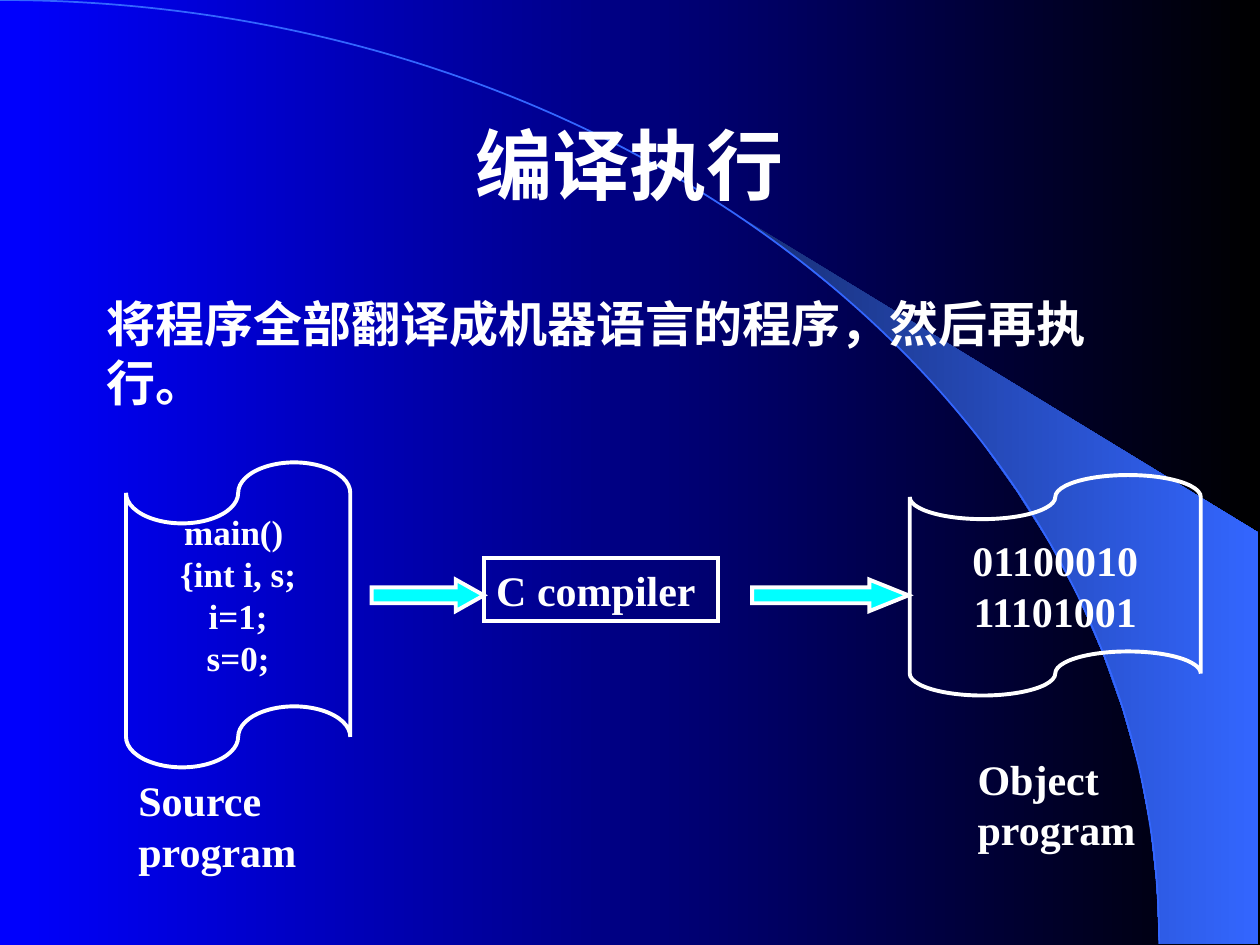
import math
import pptx
import pptx.util
import pptx.dml.color
import pptx.enum.shapes
import pptx.enum.text
import pptx.oxml.ns
from lxml import etree

PX = 9144  # 100 px to the inch
SHAPE = pptx.enum.shapes.MSO_SHAPE
ALIGN = pptx.enum.text.PP_ALIGN
ANCHOR = pptx.enum.text.MSO_ANCHOR
GROW = pptx.enum.text.MSO_AUTO_SIZE.SHAPE_TO_FIT_TEXT
RGB = pptx.dml.color.RGBColor.from_string
Pt = pptx.util.Pt
qn = pptx.oxml.ns.qn

THEME = {
    "white": RGB("FFFFFF"), "cyan": RGB("00FFFF"), "arc": RGB("3366FF"),
    "background": ("0000FF", "000000"), "crescent": ("182F76", "3366FF"),
    "title": Pt(44), "body": Pt(28), "label": Pt(24), "code": Pt(20),
    "heading_font": "Arial", "chinese_font": "Noto Sans CJK SC",
    "latin_font": "Times New Roman", "outline": Pt(2.25),
}


def set_gradient(fill, colors):
    fill.gradient()
    fill.gradient_angle = 0
    for stop, color in zip(fill.gradient_stops, colors):
        stop.color.rgb = RGB(color)


def write(shape, lines, size, font, before=0, align=ALIGN.LEFT, **frame_format):
    frame = shape.text_frame
    inset = {"margin_left": 10 * PX, "margin_right": 10 * PX,
             "margin_top": 5 * PX, "margin_bottom": 5 * PX}
    frame_values = {"word_wrap": True, "vertical_anchor": ANCHOR.TOP, **inset, **frame_format}
    for name, value in frame_values.items():
        setattr(frame, name, value)
    for i, line in enumerate(lines):
        paragraph = frame.add_paragraph() if i else frame.paragraphs[0]
        paragraph.alignment = align
        paragraph.space_before = Pt(before)
        # Punctuation wraps instead of hanging past the margin
        paragraph._p.get_or_add_pPr().set("hangingPunct", "0")
        run = paragraph.add_run()
        run.text = line
        for name, value in {"size": THEME[size], "bold": True, "name": THEME[font]}.items():
            setattr(run.font, name, value)
        run.font.color.rgb = THEME["white"]
        east_asian = etree.SubElement(run.font._element, qn("a:ea"))
        east_asian.set("typeface", THEME["chinese_font"])


deck = pptx.Presentation()
deck.slide_width, deck.slide_height = 1000 * PX, 750 * PX
slide = deck.slides.add_slide(deck.slide_layouts[6])
shapes = slide.shapes
set_gradient(slide.background.fill, THEME["background"])

# Crescent between a quarter ellipse and its tangent
RADIUS_X, RADIUS_Y, STEPS = 920, 749, 14
tip = (589, 173)
tip_angle = math.asin(tip[0] / RADIUS_X)
inner_edge = []
for step in range(1, STEPS + 1):
    angle = tip_angle + (math.pi / 2 - tip_angle) * step / STEPS
    inner_edge.append((round(RADIUS_X * math.sin(angle)),
                       round(RADIUS_Y * (1 - math.cos(angle)))))
builder = shapes.build_freeform(*tip, scale=PX)
builder.add_line_segments(inner_edge + [(999, 749), (999, 423)], close=True)
crescent = builder.convert_to_shape()
crescent.shadow.inherit = False
set_gradient(crescent.fill, THEME["crescent"])
crescent.line.fill.background()

# Thin arc along the same ellipse, as one cubic curve
builder = shapes.build_freeform(0, 0, scale=PX)
builder.add_line_segments([(RADIUS_X, RADIUS_Y)], close=False)
arc = builder.convert_to_shape()
segment = next(arc._element.iter(qn("a:lnTo")))
curve = etree.Element(qn("a:cubicBezTo"))
for x, y in [(508, 0), (RADIUS_X, 335), (RADIUS_X, RADIUS_Y)]:
    etree.SubElement(curve, qn("a:pt"), x=str(x), y=str(y))
segment.getparent().replace(segment, curve)
arc.shadow.inherit = False
arc.fill.background()
arc.line.color.rgb = THEME["arc"]
arc.line.width = Pt(1)

# Title
title = shapes.add_textbox(75 * PX, 67 * PX, 850 * PX, 125 * PX)
write(title, ["编译执行"], "title", "heading_font", align=ALIGN.CENTER,
      vertical_anchor=ANCHOR.MIDDLE)

# Source tape, compiler box, object tape and the block arrows between them
centred = {"align": ALIGN.CENTER, "vertical_anchor": ANCHOR.MIDDLE, "word_wrap": False}
stages = [
    (SHAPE.FLOWCHART_PUNCHED_TAPE, (100, 367, 178, 242),
     ["main() ", "{int i, s;", "i=1;", "s=0;"], "code",
     {**centred, "margin_left": 0, "margin_right": 0, "margin_bottom": 37 * PX}),
    (SHAPE.RECTANGLE, (384, 443, 186, 50), ["C compiler"], "label",
     {"before": 15, "auto_size": GROW}),
    (SHAPE.FLOWCHART_PUNCHED_TAPE, (722, 377, 231, 175),
     ["01100010", "11101001"], "label", centred),
    (SHAPE.RIGHT_ARROW, (295, 460, 89, 25), [], "label", {}),
    (SHAPE.RIGHT_ARROW, (597, 460, 124, 25), [], "label", {}),
]
for kind, box, lines, size, text_format in stages:
    stage = shapes.add_shape(kind, *[n * PX for n in box])
    stage.shadow.inherit = False
    stage.line.color.rgb = THEME["white"]
    stage.line.width = THEME["outline"]
    etree.SubElement(stage.line._get_or_add_ln(), qn("a:miter"), lim="800000")
    if kind == SHAPE.RIGHT_ARROW:
        stage.adjustments[1] = box[2] / box[3] / 4  # head is a quarter of the length
        stage.fill.solid()
        stage.fill.fore_color.rgb = THEME["cyan"]
    else:
        stage.fill.background()
        write(stage, lines, size, "latin_font", **text_format)

# Captions and explanation
texts = [
    ((100, 610, 195, 90), "Source program", "label", "latin_font", 15),
    ((766, 593, 169, 90), "Object program", "label", "latin_font", 15),
    ((75, 228, 850, 57), "将程序全部翻译成机器语言的程序，然后再执行。", "body", "chinese_font", 17.5),
]
for box, words, size, font, before in texts:
    caption = shapes.add_textbox(*[n * PX for n in box])
    write(caption, [words], size, font, before=before, auto_size=GROW)

deck.save("out.pptx")
